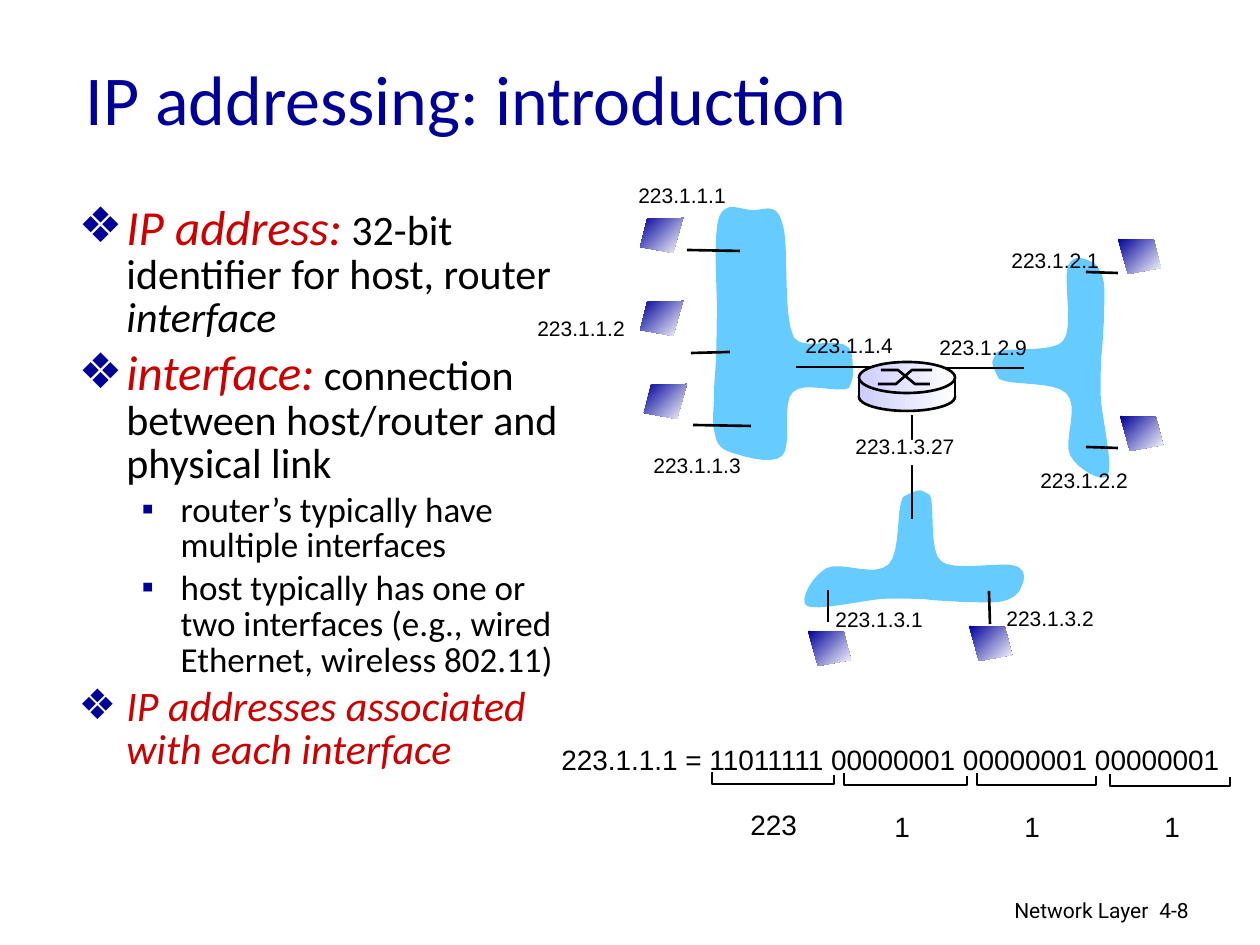
from lxml import etree
from pptx import Presentation
from pptx import util as u
from pptx.dml.color import RGBColor
from pptx.enum import shapes, text
from pptx.oxml.ns import qn

PX = 914400 / 126
THEME = {
    "navy": "000099", "red": "CC0000", "black": "000000", "white": "FFFFFF",
    "blue": "66CCFF", "lilac": "CCCCFF",
    "title": 40, "term": 28, "body": 24, "sub": 20, "bits": 16, "small": 12,
    "line": 1.5,
}

# ---- Content: text ----
TITLE = "IP addressing: introduction"
# level, space before, runs of (text, size, colour, italic)
BODY = [
    (0, 0, [("IP address:", "term", "red", True),
            (" 32-bit identifier for host, router ", "body", "black", False),
            ("interface", "body", "black", True)]),
    (0, 5.6, [("interface:", "term", "red", True),
              (" connection between host/router and physical link",
               "body", "black", False)]),
    (1, 4, [("router’s typically have multiple interfaces",
             "sub", "black", False)]),
    (1, 4, [("host typically has one or two interfaces (e.g., wired "
             "Ethernet, wireless 802.11)", "sub", "black", False)]),
    (0, 4.8, [("IP addresses associated with each interface",
               "body", "red", True)]),
]
LEVELS = [("❖", 0.38, -0.38), ("▪", 0.81, -0.31)]
ADDRS = [
    ("223.1.1.1", 626, 176), ("223.1.1.2", 525, 309), ("223.1.1.3", 641, 446),
    ("223.1.1.4", 793, 326), ("223.1.2.9", 927, 328), ("223.1.2.2", 1028, 461),
    ("223.1.2.1", 999, 241), ("223.1.3.2", 994, 599), ("223.1.3.1", 823, 600),
    ("223.1.3.27", 843, 427),
]
BITS = ("223.1.1.1 = 11011111 00000001 00000001 00000001", 549, 736)
# value, its left and top, then bracket left, right, bottom
OCTETS = [("223", 738, 801, 712, 834, 784), ("1", 882, 803, 844, 967, 785),
          ("1", 1012, 803, 977, 1096, 785), ("1", 1152, 803, 1110, 1230, 786)]

# ---- Content: network drawing ----
# Bezier outlines: a start point, then three points per curve
WEST = [
    (852, 355), (849, 331), (805, 353), (794, 338), (782, 315), (790, 242),
    (782, 222), (776, 200), (761, 212), (751, 210), (741, 210), (726, 200),
    (719, 217), (713, 234), (717, 290), (717, 312), (716, 335), (717, 341),
    (716, 354), (716, 368), (714, 382), (714, 393), (714, 406), (712, 420),
    (714, 430), (716, 438), (716, 446), (727, 451), (738, 455), (771, 466),
    (782, 456), (793, 446), (781, 402), (793, 392), (804, 381), (839, 394),
    (849, 388), (853, 378), (854, 379), (852, 355)]
EAST = [
    (999, 379), (1011, 386), (1053, 381), (1066, 393), (1080, 406),
    (1063, 441), (1070, 455), (1077, 469), (1103, 484), (1108, 475),
    (1113, 466), (1103, 421), (1101, 401), (1100, 382), (1101, 372),
    (1101, 359), (1103, 345), (1103, 331), (1104, 320), (1104, 307),
    (1105, 294), (1104, 284), (1103, 275), (1099, 266), (1092, 262),
    (1087, 260), (1074, 252), (1068, 266), (1063, 278), (1074, 331),
    (1063, 341), (1055, 353), (1005, 347), (997, 352), (992, 363),
    (989, 359), (999, 379)]
SOUTH = [(1282 - y, x - 502) for x, y in EAST]  # quarter turn of the east net
LINKS = [(945, 368, 1024, 368), (1086, 272, 1118, 273), (1086, 447, 1118, 448),
         (912, 415, 912, 519), (828, 622, 828, 590), (990, 624, 989, 591)]
PORTS = [(687, 250, 740, 251), (691, 353, 730, 352), (693, 425, 751, 426),
         (796, 367, 874, 367)]
MASKS = [(538, 320, 115, 25), (854, 440, 117, 25)]
HOST = [(0, 0), (36, 1), (43, 29), (10, 35)]
# left, top, mirrored
HOSTS = [(640, 218, True), (640, 301, True), (644, 384, True),
         (1118, 239, False), (1120, 416, False), (969, 626, False),
         (808, 631, False)]

prs = Presentation()
prs.slide_width, prs.slide_height = u.Inches(10), u.Inches(7.5)
slide = prs.slides.add_slide(prs.slide_layouts[1])


def emu(*vals):
    return [u.Emu(round(v * PX)) for v in vals]


def rgb(name):
    return RGBColor.from_string(THEME[name])


def style(font, size, color, name="Arial", italic=False):
    fmt = {"size": u.Pt(THEME[size]), "name": name, "italic": italic}
    for key, val in fmt.items():
        setattr(font, key, val)
    font.color.rgb = rgb(color)


def paint(shp, fill=None, line=None, angle=0):
    """Fill with one colour name, a pair for a gradient, or nothing."""
    shp.shadow.inherit = False
    if fill is None:
        shp.fill.background()
    elif isinstance(fill, tuple):
        shp.fill.gradient()
        shp.fill.gradient_angle = angle
        for stop, name in zip(shp.fill.gradient_stops, fill):
            stop.color.rgb = rgb(name)
    else:
        shp.fill.solid()
        shp.fill.fore_color.rgb = rgb(fill)
    if line:
        shp.line.color.rgb, shp.line.width = rgb(line), u.Pt(THEME["line"])
    else:
        shp.line.fill.background()


def preset(kind, box, fill, line=None):
    paint(slide.shapes.add_shape(kind, *emu(*box)), fill, line)


def outline(pts, closed, **look):
    pts = [tuple(emu(*p)) for p in pts]
    build = slide.shapes.build_freeform(*pts[0])
    build.add_line_segments(pts[1:], close=closed)
    paint(build.convert_to_shape(), **look)


def curve(pts, steps=8):
    out = [pts[0]]
    for i in range(0, len(pts) - 1, 3):
        quad = pts[i:i + 4]
        for n in range(1, steps + 1):
            t = n / steps
            mix = ((1 - t) ** 3, 3 * t * (1 - t) ** 2, 3 * t * t * (1 - t), t ** 3)
            out.append(tuple(sum(m * p[k] for m, p in zip(mix, quad))
                             for k in (0, 1)))
    return out


def link(*ends):
    con = slide.shapes.add_connector(shapes.MSO_CONNECTOR.STRAIGHT, *emu(*ends))
    con.line.color.rgb, con.line.width = rgb("black"), u.Pt(THEME["line"])
    etree.SubElement(con._element.spPr, qn("a:effectLst"))


def label(words, box, size="small", name="Arial", align=text.PP_ALIGN.LEFT,
          wrap=False):
    frame = slide.shapes.add_textbox(*emu(*box)).text_frame
    frame.word_wrap = wrap
    if not wrap:
        frame.auto_size = text.MSO_AUTO_SIZE.SHAPE_TO_FIT_TEXT
    para = frame.paragraphs[0]
    para.alignment = align
    run = para.add_run()
    run.text = words
    style(run.font, size, "black", name)


def place(holder, box, anchor):
    holder.left, holder.top, holder.width, holder.height = emu(*box)
    fmt = {"word_wrap": True, "auto_size": text.MSO_AUTO_SIZE.NONE,
           "vertical_anchor": anchor}
    for key, val in fmt.items():
        setattr(holder.text_frame, key, val)
    return holder.text_frame


def bullet(para, level):
    mark, left, hang = LEVELS[level]
    para.level = level
    ppr = para._p.get_or_add_pPr()
    ppr.set("marL", str(u.Inches(left)))
    ppr.set("indent", str(u.Inches(hang)))
    color = etree.SubElement(ppr, qn("a:buClr"))
    etree.SubElement(color, qn("a:srgbClr"), val=THEME["navy"])
    etree.SubElement(ppr, qn("a:buChar"), char=mark)


# Title and list
frame = place(slide.shapes.title, (73, 32, 1071, 131), text.MSO_ANCHOR.MIDDLE)
frame.text = TITLE
frame.paragraphs[0].alignment = text.PP_ALIGN.LEFT
style(frame.paragraphs[0].runs[0].font, "title", "navy", "Calibri")

frame = place(slide.placeholders[1], (66, 199, 509, 640), text.MSO_ANCHOR.TOP)
for i, (level, gap, runs) in enumerate(BODY):
    para = frame.add_paragraph() if i else frame.paragraphs[0]
    bullet(para, level)
    para.line_spacing, para.space_before = 0.85, u.Pt(gap)
    for words, size, color, italic in runs:
        run = para.add_run()
        run.text = words
        style(run.font, size, color, "Calibri", italic)

# Networks, links and addresses (box width follows the text length)
for net in (SOUTH, EAST, WEST):
    outline(curve(net), True, fill="blue")
for ends in LINKS:
    link(*ends)
for box in MASKS:
    preset(shapes.MSO_SHAPE.RECTANGLE, box, "white")
for words, x, y in ADDRS:
    label(words, (x, y, 13 * len(words) - 3, 38))

# Hosts
for x, y, flip in HOSTS:
    pts = [(x + (43 - dx if flip else dx), y + dy) for dx, dy in HOST]
    outline(pts, True, fill=("navy", "white"), angle=315)

# Router
metal = ("lilac", "white")
preset(shapes.MSO_SHAPE.OVAL, (859, 383, 96, 28), metal, "black")
preset(shapes.MSO_SHAPE.RECTANGLE, (859, 381, 96, 16), metal)
preset(shapes.MSO_SHAPE.OVAL, (859, 362, 96, 31), metal, "black")
for pts in ([(878, 384), (896, 384), (912, 370), (932, 370)],
            [(881, 370), (898, 370), (915, 384), (930, 384)]):
    outline(pts, False, line="black")
for x in (859, 955):
    link(x, 377, x, 398)
for ends in PORTS:
    link(*ends)

# Binary form with one bracket per octet
label(BITS[0], (*BITS[1:], 696, 47), "bits")
for words, x, y, left, right, base in OCTETS:
    outline([(left, base - 12), (left, base), (right, base), (right, base - 9)],
            False, line="black")
    label(words, (x, y, 72 if len(words) > 1 else 40, 47), "bits")

# Footer
label("Network Layer", (762, 891, 399, 39), name="Roboto",
      align=text.PP_ALIGN.RIGHT, wrap=True)
label("4-8", (1147, 891, 93, 38), name="Roboto", wrap=True)

prs.save("out.pptx")
